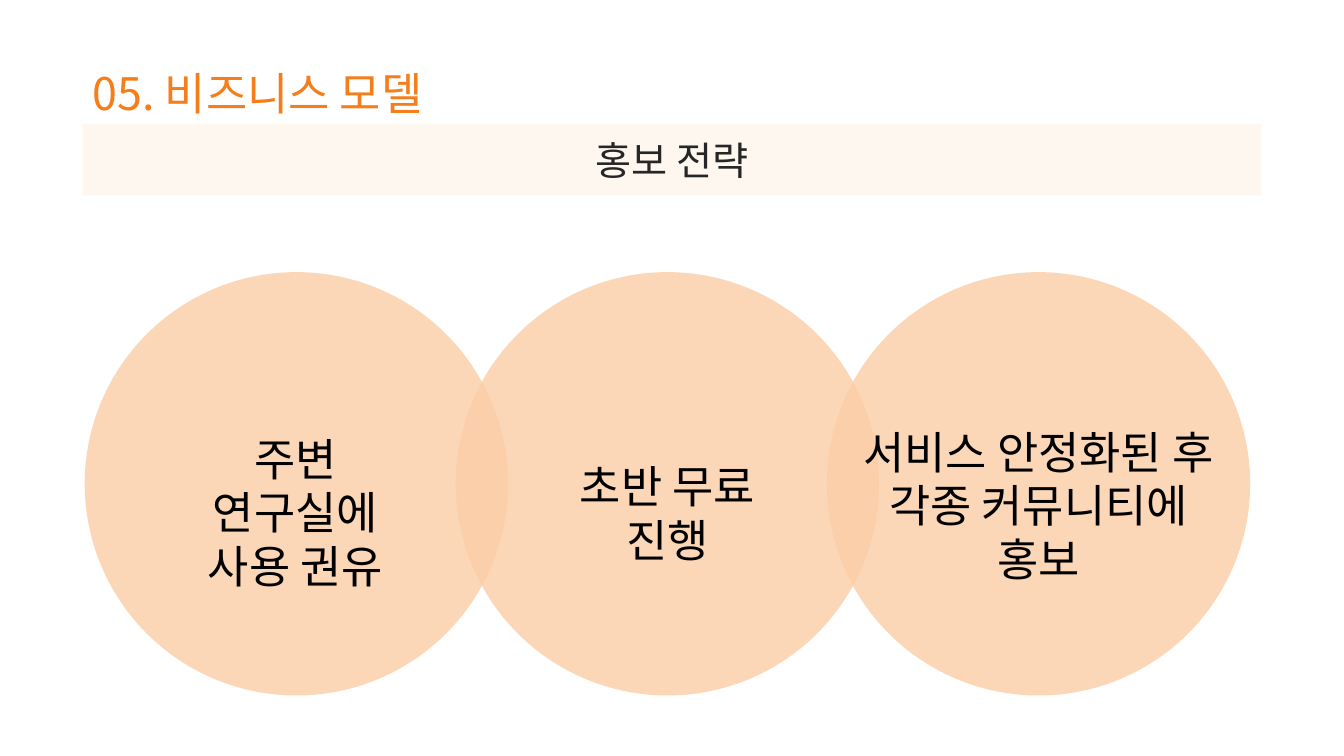
from dataclasses import dataclass

from pptx import Presentation
from pptx import util as u
from pptx.dml.color import RGBColor
from pptx.enum import shapes, text
from pptx.oxml.ns import qn
from lxml import etree


@dataclass(frozen=True)
class Theme:
    font: str = "Noto Sans CJK KR"
    accent: str = "F57E1B"
    band: str = "FEF3E9"
    circle: str = "FBCEA7"
    heading: str = "262626"
    body: str = "000000"
    large: int = 32
    medium: int = 28


@dataclass(frozen=True)
class Area:
    left: float
    top: float
    width: float
    height: float

    def lengths(self) -> list:
        return [u.Inches(v) for v in (self.left, self.top, self.width, self.height)]


@dataclass(frozen=True)
class Step:
    lines: tuple
    area: Area


THEME = Theme()
BAND = Area(0.82, 1.23, 11.69, 0.71)
TITLE = Area(0.82, 0.6, 8.14, 0.64)
CIRCLE_LEFT, CIRCLE_TOP, DIAMETER, PITCH = 0.84, 2.7, 4.2, 3.68
DRAW_ORDER = (0, 2, 1)  # the middle circle lies on top
STEPS = (
    Step(("주변 연구실에", "사용 권유"), Area(1.59, 4.23, 2.68, 1.18)),
    Step(("초반 무료 진행",), Area(5.22, 4.5, 2.8, 0.64)),
    Step(("서비스 안정화된 후", "각종 커뮤니티에 홍보"), Area(8.29, 4.16, 4.02, 1.18)),
)


def write(frame, lines: tuple, size: int, color: str, align) -> None:
    """Write one paragraph per line in the theme font."""
    for index, line in enumerate(lines):
        para = frame.paragraphs[0] if index == 0 else frame.add_paragraph()
        para.alignment = align
        span = para.add_run()
        span.text = line
        for name, value in {"name": THEME.font, "size": u.Pt(size)}.items():
            setattr(span.font, name, value)
        span.font.color.rgb = RGBColor.from_string(color)


def add_tinted(page, kind, area: Area, color: str, opacity: int):
    """Add a borderless shape with a partly transparent fill."""
    shape = page.shapes.add_shape(kind, *area.lengths())
    shape.shadow.inherit = False
    shape.fill.solid()
    shape.fill.fore_color.rgb = RGBColor.from_string(color)
    shape.line.fill.background()
    tint = shape.fill._xPr.find(".//" + qn("a:srgbClr"))
    etree.SubElement(tint, qn("a:alpha")).set("val", str(opacity * 1000))
    return shape


def add_text(page, area: Area, lines: tuple, color: str, align) -> None:
    """Add a wrapping text box that grows with its text."""
    frame = page.shapes.add_textbox(*area.lengths()).text_frame
    layout = {"word_wrap": True, "auto_size": text.MSO_AUTO_SIZE.SHAPE_TO_FIT_TEXT}
    for name, value in layout.items():
        setattr(frame, name, value)
    write(frame, lines, THEME.large, color, align)


def main() -> None:
    deck = Presentation()
    deck.slide_width, deck.slide_height = u.Inches(13.33), u.Inches(7.5)
    page = deck.slides.add_slide(deck.slide_layouts[6])

    # Heading band and title
    band = add_tinted(page, shapes.MSO_SHAPE.RECTANGLE, BAND, THEME.band, 64)
    band.text_frame.vertical_anchor = text.MSO_ANCHOR.MIDDLE
    write(band.text_frame, ("홍보 전략",), THEME.medium, THEME.heading, text.PP_ALIGN.CENTER)
    add_text(page, TITLE, ("05. 비즈니스 모델",), THEME.accent, text.PP_ALIGN.LEFT)

    # Overlapping circles
    for column in DRAW_ORDER:
        area = Area(CIRCLE_LEFT + column * PITCH, CIRCLE_TOP, DIAMETER, DIAMETER)
        add_tinted(page, shapes.MSO_SHAPE.OVAL, area, THEME.circle, 80)

    # Promotion steps
    for step in STEPS:
        add_text(page, step.area, step.lines, THEME.body, text.PP_ALIGN.CENTER)

    deck.save("out.pptx")


if __name__ == "__main__":
    main()
